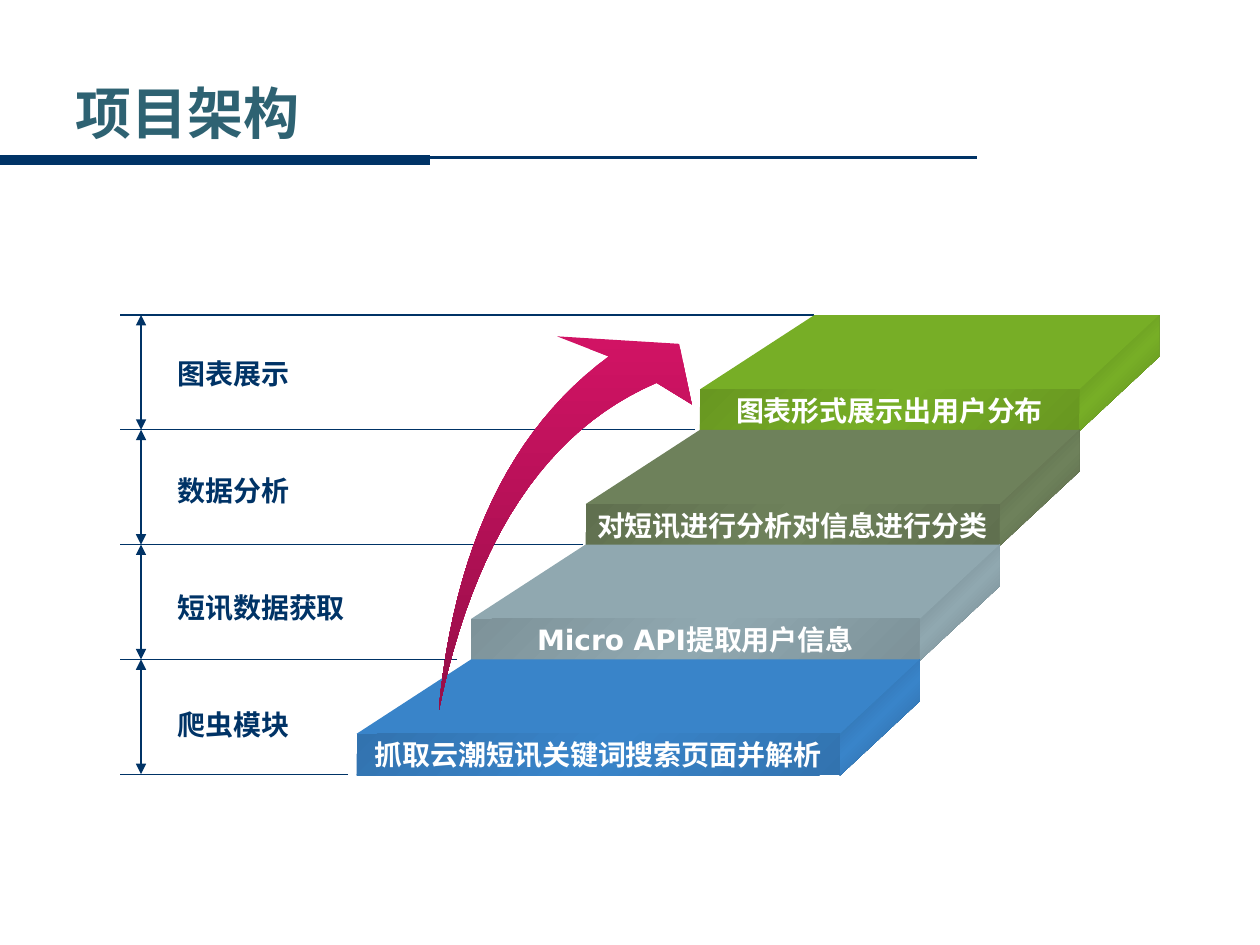
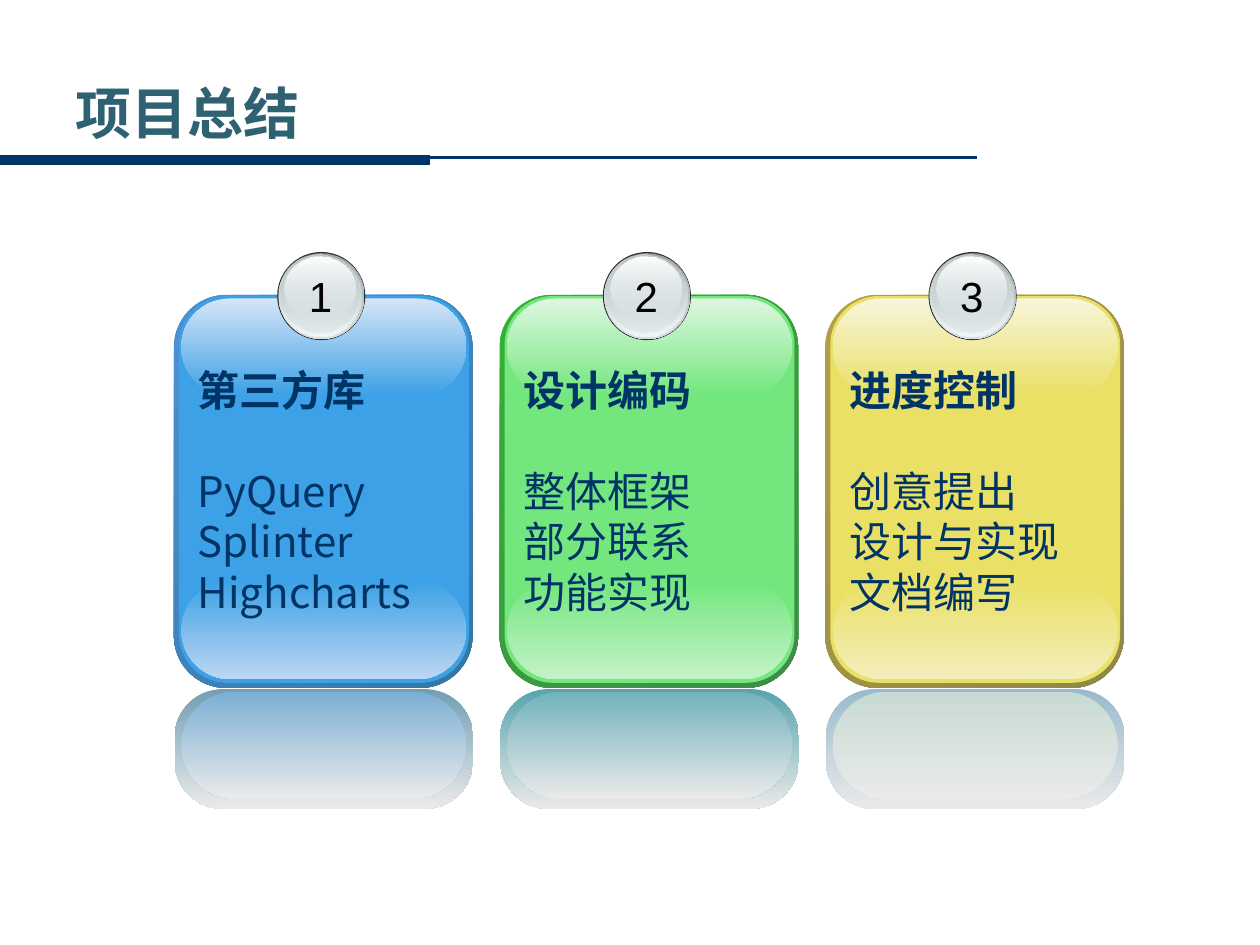
from dataclasses import dataclass

from lxml import etree
from pptx import Presentation
from pptx import util as u
from pptx.dml.color import RGBColor
from pptx.enum import shapes as kinds, text as modes
from pptx.oxml.ns import qn


@dataclass(frozen=True)
class Theme:
    navy: str = "003366"
    title: str = "2E6272"
    white: str = "FFFFFF"
    black: str = "000000"
    rim: str = "333333"
    silver: str = "D6E1E2"
    mist: str = "EAEAEA"
    arrow: tuple = ("D11364", "960E48")
    cjk: str = "Noto Sans CJK SC"
    bar_font: str = "DejaVu Sans"
    number_font: str = "Arial"
    title_size: float = 32
    label_size: float = 16
    card_size: float = 24


THEME = Theme()
LABEL = dict(font=THEME.cjk, size=THEME.label_size, color=THEME.navy, bold=True)
BAR = dict(font=THEME.bar_font, size=THEME.label_size, color=THEME.white, bold=True)
TITLE = dict(font=THEME.cjk, size=THEME.title_size, color=THEME.title, bold=True)
HEADING = dict(font=THEME.cjk, size=THEME.card_size, color=THEME.navy, bold=True)
BODY = HEADING | dict(bold=False)
NUMBER = BODY | dict(font=THEME.number_font, color=THEME.black)
GROWING = dict(auto_size=modes.MSO_AUTO_SIZE.SHAPE_TO_FIT_TEXT)
LEFT, CENTER = modes.PP_ALIGN.LEFT, modes.PP_ALIGN.CENTER

RISE = 65.6
LEVELS = [
    ("图表展示", "图表形式展示出用户分布", "77AE26", "689721", "557C1B"),
    ("数据分析", "对短讯进行分析对信息进行分类", "6E815B", "60704F", "4F5C41"),
    ("短讯数据获取", "Micro API提取用户信息", "90A8B0", "7D9299", "67787E"),
    ("爬虫模块", "抓取云潮短讯关键词搜索页面并解析", "3984C9", "3273AF", "295E90"),
]
CARDS = [
    ("第三方库", ["PyQuery", "Splinter", "Highcharts"], dict(
        edge=("4E91D4", "3477A4"), face="3CA1E6", top="D7E5F7", bottom="BDD6F3",
        echo="729EB4", echo_face="7DAFD4")),
    ("设计编码", ["整体框架", "部分联系", "功能实现"], dict(
        edge=("34B034", "3F8B4A"), face="73E77E", top="DDF7DF", bottom="C3F2C7",
        echo="58A4AE", echo_face="72B2BB")),
    ("进度控制", ["创意提出", "设计与实现", "文档编写"], dict(
        edge=("B59F43", "8F8849"), face="E9E065", top="F8F5DB", bottom="F3EEBB",
        echo="99BACC", echo_face="C8DAD4")),
]


def apply(target, values):
    for name, value in values.items():
        setattr(target, name, value)


def points(*values):
    return [u.Pt(value) for value in values]


def paint(shape, colors, angle=90):
    shape.shadow.inherit = False
    shape.line.fill.background()
    if isinstance(colors, str):
        shape.fill.solid()
        shape.fill.fore_color.rgb = RGBColor.from_string(colors)
        return
    shape.fill.gradient()
    shape.fill.gradient_angle = 360 - angle
    stops = shape.element.spPr.find(".//" + qn("a:gsLst"))
    for stop in list(stops):
        stops.remove(stop)
    for index, entry in enumerate(colors):
        color, alpha = entry if isinstance(entry, tuple) else (entry, 100)
        position = str(100000 * index // (len(colors) - 1))
        stop = etree.SubElement(stops, qn("a:gs"), pos=position)
        value = etree.SubElement(stop, qn("a:srgbClr"), val=color)
        if alpha < 100:
            etree.SubElement(value, qn("a:alpha"), val=str(alpha * 1000))


def add_line(shapes, start, end, weight, arrows=False):
    line = shapes.add_connector(kinds.MSO_CONNECTOR.STRAIGHT, *points(*start, *end))
    line.line.width = u.Pt(weight)
    line.line.color.rgb = RGBColor.from_string(THEME.navy)
    properties = line.element.spPr
    if arrows:
        outline = properties.find(qn("a:ln"))
        for side in ("a:headEnd", "a:tailEnd"):
            etree.SubElement(outline, qn(side), type="triangle")
    etree.SubElement(properties, qn("a:effectLst"))


def add_preset(shapes, kind, box, colors, angle=90, rounding=None):
    shape = shapes.add_shape(kind, *points(*box))
    if rounding is not None:
        shape.adjustments[0] = rounding
    paint(shape, colors, angle)
    return shape


def add_polygon(shapes, corners, colors, angle=90):
    outline = [points(*corner) for corner in corners]
    builder = shapes.build_freeform(*outline[0])
    builder.add_line_segments(outline[1:], close=True)
    paint(builder.convert_to_shape(), colors, angle)


def write(frame, lines, align=LEFT, **frame_values):
    apply(frame, frame_values)
    for index, (words, style) in enumerate(lines):
        paragraph = frame.add_paragraph() if index else frame.paragraphs[0]
        paragraph.alignment = align
        run = paragraph.add_run()
        run.text = words
        apply(run.font, dict(name=style["font"], size=u.Pt(style["size"]),
                             bold=style["bold"]))
        run.font.color.rgb = RGBColor.from_string(style["color"])
        etree.SubElement(run.font._element, qn("a:ea"), typeface=THEME.cjk)


def add_text(shapes, box, lines, align=LEFT, wrap=False):
    frame = shapes.add_textbox(*points(*box)).text_frame
    write(frame, lines, align, word_wrap=wrap, **GROWING)
    return frame


def add_titled_slide(presentation, words):
    slide = presentation.slides.add_slide(presentation.slide_layouts[5])
    add_line(slide.shapes, (558, 90), (0, 90), 1.5)
    add_line(slide.shapes, (0, 91.4), (246, 91.4), 6)
    title = slide.shapes.title
    left, top, width, height = points(36, 41.8, 606.2, 44.6)
    apply(title, dict(left=left, top=top, width=width, height=height))
    write(title.text_frame, [(words, TITLE)], word_wrap=True,
          vertical_anchor=modes.MSO_ANCHOR.MIDDLE,
          auto_size=modes.MSO_AUTO_SIZE.NONE)
    return slide


def draw_scale(shapes, left, top):
    for index, right in enumerate((465, 397, 333, 261, 199)):
        height = top + index * RISE
        add_line(shapes, (right, height), (left, height), 0.75)
    for index, level in enumerate(LEVELS):
        start = top + index * RISE
        add_line(shapes, (left + 12.2, start), (left + 12.2, start + RISE), 0.75, True)
        add_text(shapes, (left + 25.9, top + 20 + index * 67, 20 * len(level[0]), 26.6),
                 [(level[0], LABEL)])


def draw_stairs(shapes, left, top, width):
    slant_left, slant_right, depth, thickness = 65.4, 45.6, 42.5, 23.8
    for index, (_, words, color, bar_edge, side_edge) in enumerate(LEVELS):
        back = top + index * RISE
        front = back + depth
        front_left = left + (len(LEVELS) - 1 - index) * slant_left
        back_right = left + width - index * slant_right
        front_right = back_right - slant_right
        add_polygon(shapes, [(back_right, back), (back_right, back + thickness),
                             (front_right, front + thickness), (front_right, front)],
                    (side_edge, color, side_edge), 45)
        add_polygon(shapes, [(front_right, front), (front_left, front),
                             (front_left + slant_left, back), (back_right, back)], color)
        bar = add_preset(shapes, kinds.MSO_SHAPE.RECTANGLE,
                         (front_left, front, front_right - front_left, thickness),
                         (bar_edge, color, bar_edge), 45)
        write(bar.text_frame, [(words, BAR)], CENTER, word_wrap=False,
              vertical_anchor=modes.MSO_ANCHOR.MIDDLE)


def curve(start, control, end, steps=24):
    for step in range(steps + 1):
        t = step / steps
        yield tuple((1 - t) ** 2 * a + 2 * t * (1 - t) * b + t ** 2 * c
                    for a, b, c in zip(start, control, end))


def draw_rising_arrow(shapes, left, top):
    tail = (0, 214.6)
    outline = [*curve(tail, (13, 74), (97.2, 11.5)),
               (67.7, 0), (137.5, 4.3), (144.7, 38.9),
               *curve((124.6, 26.6), (30, 67), tail)]
    add_polygon(shapes, [(left + x, top + y) for x, y in outline], THEME.arrow)


def draw_card(shapes, left, top, number, heading, items, tint):
    face = tint["face"]
    panels = [
        ((0, 24.5, 170.6, 224.6), 0.175, tint["edge"], 45),
        ((2.9, 25.2, 165.6, 221), 0.167, face, 90),
        ((4.3, 187.9, 162.7, 56.2), 0.5, (face, tint["bottom"]), 90),
        ((4.3, 26.6, 162.7, 55.4), 0.5, (tint["top"], face), 90),
        ((0.4, 249.8, 170.6, 68.4), 0.404, (tint["echo"], THEME.mist), 90),
        ((4.3, 251.3, 162.7, 61.2), 0.5, (tint["echo_face"], THEME.mist), 90),
    ]
    for (x, y, width, height), rounding, colors, angle in panels:
        add_preset(shapes, kinds.MSO_SHAPE.ROUNDED_RECTANGLE,
                   (left + x, top + y, width, height), colors, angle, rounding)
    ball = [
        ((59, 0, 50.4, 50.4), THEME.rim),
        ((59.8, 0.7, 49, 49), ("99A1A2", THEME.silver)),
        ((59.8, 0.7, 47.5, 47.5), ((THEME.silver, 0), "F2F5F5")),
        ((60.5, 1.4, 45.4, 44.6), ("C1CBCC", (THEME.silver, 48))),
        ((63.4, 2.9, 40.3, 36), (THEME.white, (THEME.silver, 38))),
    ]
    for (x, y, width, height), colors in ball:
        add_preset(shapes, kinds.MSO_SHAPE.OVAL,
                   (left + x, top + y, width, height), colors)
    add_text(shapes, (left + 69.8, top + 7.2, 28, 36), [(str(number), NUMBER)], CENTER)
    frame = add_text(shapes, (left + 6.5, top + 60.5, 162, 152.6),
                     [(heading, HEADING)] + [(item, BODY) for item in items], wrap=True)
    frame.paragraphs[1].space_before = u.Pt(29)


def build_architecture(presentation):
    slide = add_titled_slide(presentation, "项目架构")
    draw_scale(slide.shapes, 68.4, 180)
    staircase = slide.shapes.add_group_shape().shapes
    draw_stairs(staircase, 203.8, 180, 458.6)
    draw_rising_arrow(staircase, 250.6, 192.2)


def build_summary(presentation):
    slide = add_titled_slide(presentation, "项目总结")
    for index, card in enumerate(CARDS):
        group = slide.shapes.add_group_shape()
        draw_card(group.shapes, 99.4 + index * 186.1, 144, index + 1, *card)


def main():
    presentation = Presentation()
    apply(presentation, dict(slide_width=u.Pt(720), slide_height=u.Pt(540)))
    build_architecture(presentation)
    build_summary(presentation)
    presentation.save("out.pptx")


if __name__ == "__main__":
    main()
